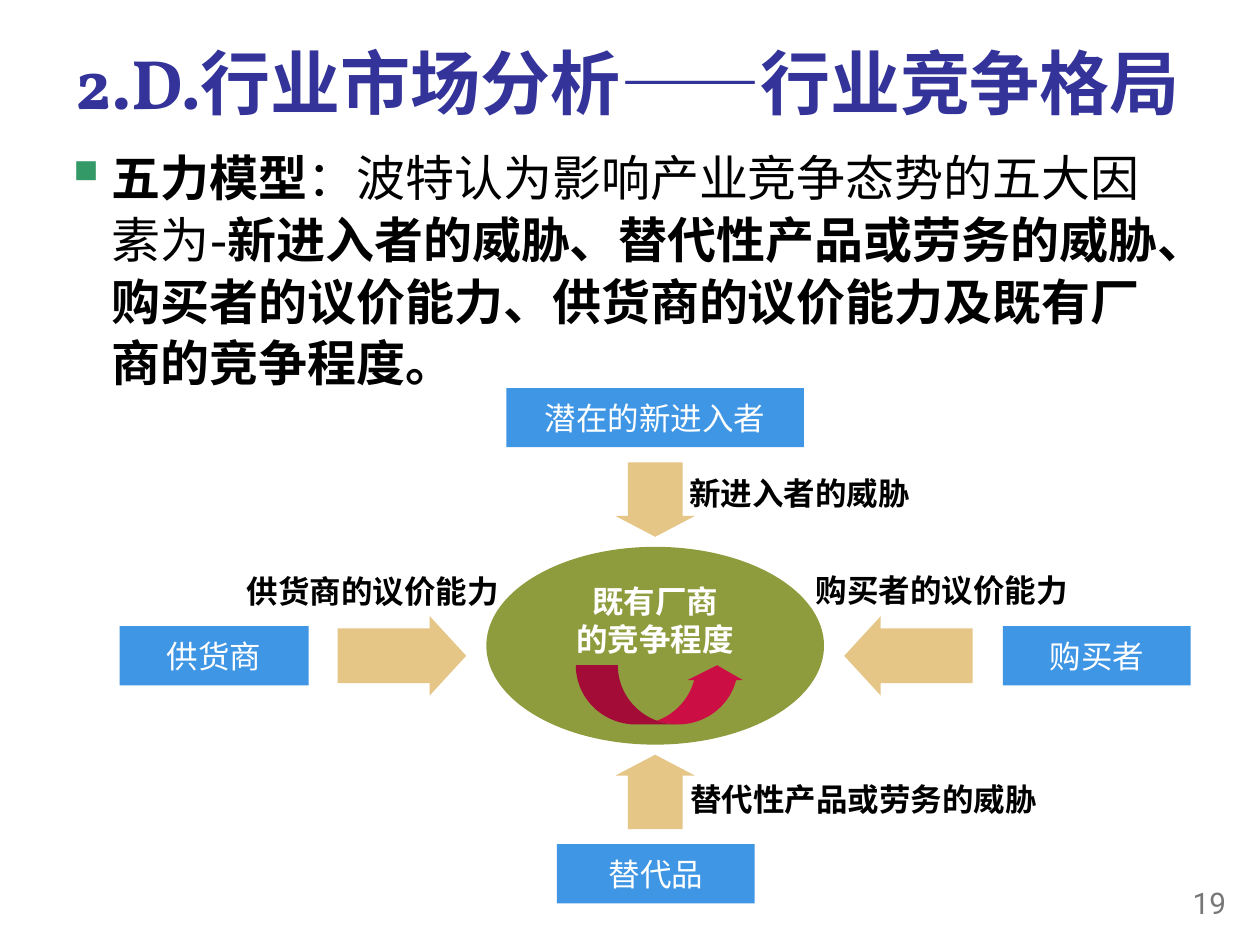
from lxml import etree
from pptx import Presentation
from pptx.dml.color import RGBColor
from pptx.enum.shapes import MSO_SHAPE
from pptx.enum.text import MSO_ANCHOR, PP_ALIGN
from pptx.oxml.ns import qn
from pptx.util import Inches, Pt

RECTANGLE, ELLIPSE = MSO_SHAPE.RECTANGLE, MSO_SHAPE.OVAL
ARROW, CURVED_ARROW = MSO_SHAPE.RIGHT_ARROW, MSO_SHAPE.CURVED_UP_ARROW
TOP, MIDDLE = MSO_ANCHOR.TOP, MSO_ANCHOR.MIDDLE
LEFT, CENTER, RIGHT = PP_ALIGN.LEFT, PP_ALIGN.CENTER, PP_ALIGN.RIGHT
COLUMNS, ROWS = 100, 75
BLACK, WHITE, GRAY, NAVY, GREEN = "000000", "FFFFFF", "777777", "333399", "339966"
BLUE, OLIVE, SAND, CRIMSON = "3F96E5", "8F9C3E", "E5C687", "CB0F45"
BODY_FONT, TITLE_FONT, NUMBER_FONT = "DejaVu Sans", "Vollkorn", "Roboto"


def color(value):
    """Turn a hex string into a colour."""
    return RGBColor.from_string(value)


class SlideBuilder:
    """Hold the style and the current slide, and draw its elements on a grid."""

    def __init__(self, deck):
        """Add a blank slide and work out the size of a grid cell."""
        self.slide = deck.slides.add_slide(deck.slide_layouts[6])
        self.column = deck.slide_width / COLUMNS
        self.row = deck.slide_height / ROWS

    def place(self, left, top, width, height):
        """Turn grid units into slide lengths."""
        return (round(left * self.column), round(top * self.row),
                round(width * self.column), round(height * self.row))

    def fill_text(self, frame, paragraphs, size=18, font=BODY_FONT, ink=BLACK,
                  align=CENTER, anchor=TOP, wrap=False):
        """Fill a frame with paragraphs of (text, bold) runs."""
        frame.word_wrap = wrap
        frame.vertical_anchor = anchor
        for index, runs in enumerate(paragraphs):
            para = frame.add_paragraph() if index else frame.paragraphs[0]
            para.alignment = align
            for text, bold in runs:
                span = para.add_run()
                span.text = text
                span.font.size = Pt(size)
                span.font.name = font
                span.font.bold = bold
                span.font.color.rgb = color(ink)

    def text(self, area, paragraphs, **style):
        """Add a text box."""
        box = self.slide.shapes.add_textbox(*self.place(*area))
        self.fill_text(box.text_frame, paragraphs, **style)
        return box

    def bullet(self, area, runs, size):
        """Add a text box with one bulleted paragraph."""
        box = self.text(area, [runs], size=size, align=LEFT, wrap=True)
        para = box.text_frame.paragraphs[0]
        para.line_spacing = 1.05
        properties = para._p.get_or_add_pPr()
        indent = round(3.8 * self.column)
        properties.set("marL", str(indent))
        properties.set("indent", str(-indent))
        tint = etree.SubElement(properties, qn("a:buClr"))
        etree.SubElement(tint, qn("a:srgbClr"), val=GREEN)
        etree.SubElement(properties, qn("a:buSzPct"), val="120000")
        etree.SubElement(properties, qn("a:buChar"), char="▪")

    def shape(self, kind, area, fill, adjustments=()):
        """Add a flat shape without outline."""
        shape = self.slide.shapes.add_shape(kind, *self.place(*area))
        shape.shadow.inherit = False
        shape.fill.solid()
        shape.fill.fore_color.rgb = color(fill)
        shape.line.fill.background()
        for index, value in enumerate(adjustments):
            shape.adjustments[index] = value
        return shape

    def force(self, name, left, top, width):
        """Add a named box for one outside force."""
        box = self.shape(RECTANGLE, (left, top, width, 4.7), BLUE)
        self.fill_text(box.text_frame, [[(name, False)]], ink=WHITE, anchor=MIDDLE)

    def arrow(self, center_x, center_y, length, head, turn):
        """Add a block arrow turned around its centre."""
        thick = 6.3
        area = (center_x - length / 2, center_y - thick / 2, length, thick)
        self.shape(ARROW, area, SAND, (0.69, head)).rotation = turn


def main():
    """Build the five forces slide."""
    deck = Presentation()
    deck.slide_width, deck.slide_height = Inches(10), Inches(7.5)
    page = SlideBuilder(deck)

    page.text((3.8, 2.8, 92, 7.4), [[("2.D.行业市场分析——行业竞争格局", True)]],
              size=40, font=TITLE_FONT, ink=NAVY, anchor=MIDDLE, wrap=True)
    page.bullet((4.1, 11, 90.9, 56), [
        ("五力模型", True),
        ("：波特认为影响产业竞争态势的五大因素为-", False),
        ("新进入者的威胁、替代性产品或劳务的威胁、购买者的议价能力、"
         "供货商的议价能力及既有厂商的竞争程度。", True),
    ], size=28)
    page.text((90.8, 69.7, 7.5, 4), [[("19", False)]],
              size=17, font=NUMBER_FONT, ink=GRAY, align=RIGHT)

    middle_x, middle_y, side_y = 52, 51.25, 52.05
    width, height = 26.8, 15.7
    rivals = page.shape(ELLIPSE, (middle_x - width / 2, middle_y - height / 2,
                                  width, height), OLIVE)
    page.fill_text(rivals.text_frame, [[("既有厂商", True)], [("的竞争程度", True)]],
                   ink=WHITE)

    for name, left, top, box_width in (
            ("供货商", 9.5, 49.7, 15), ("潜在的新进入者", 40.2, 30.8, 23.6),
            ("购买者", 79.6, 49.7, 14.9), ("替代品", 44.2, 67, 15.7)):
        page.force(name, left, top, box_width)

    for label, left, top, label_width in (
            ("替代性产品或劳务的威胁", 53.6, 61.4, 29.9),
            ("购买者的议价能力", 62, 44.8, 25.5),
            ("供货商的议价能力", 18.2, 44.9, 22.8),
            ("新进入者的威胁", 53.6, 37.1, 19.7)):
        page.text((left, top, label_width, 4), [[(label, True)]])

    page.shape(CURVED_ARROW, (45.7, 52.8, 13.4, 4.7), CRIMSON, (0.71, 0.93, 0.25))
    for side, turn in ((-1, 0), (1, 180)):
        page.arrow(middle_x + side * 20.1, side_y, 10.2, 0.46, turn)
    for side, turn in ((-1, 90), (1, 270)):
        page.arrow(middle_x, middle_y + side * 11.6, 5.9, 0.28, turn)

    deck.save("out.pptx")


if __name__ == "__main__":
    main()
